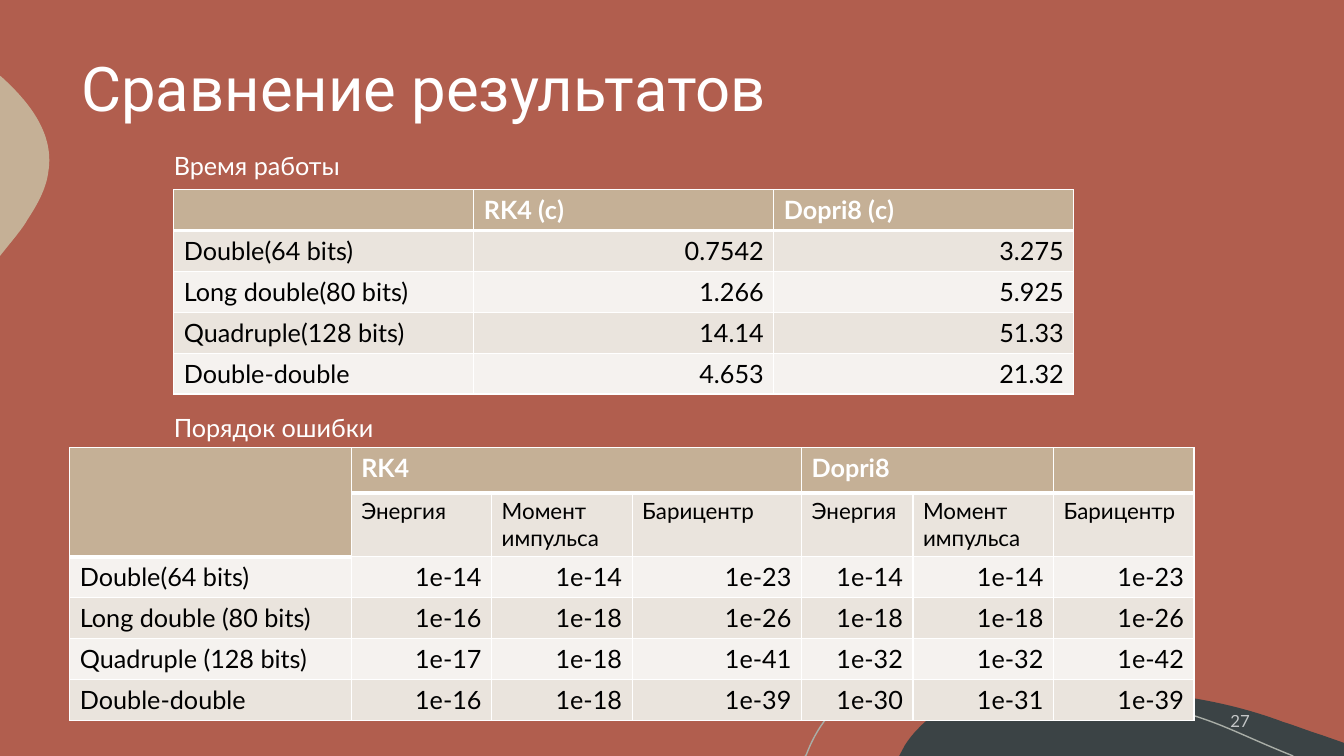
"""Build the slide that compares run times and error orders."""
from lxml import etree
from pptx import Presentation
from pptx.dml.color import RGBColor
from pptx.enum.text import MSO_ANCHOR, PP_ALIGN
from pptx.oxml.ns import qn
from pptx.util import Cm, Pt

LEFT, RIGHT = PP_ALIGN.LEFT, PP_ALIGN.RIGHT
TOP, MIDDLE = MSO_ANCHOR.TOP, MSO_ANCHOR.MIDDLE
RUST = RGBColor(0xB1, 0x5E, 0x4E)
SLATE = RGBColor(0x3B, 0x43, 0x45)
SAND = RGBColor(0xC5, 0xB0, 0x96)
GREY = RGBColor(0xA9, 0xAE, 0xA7)
DARK = RGBColor(0xEA, 0xE4, 0xDD)
PALE = RGBColor(0xF5, 0xF2, 0xEF)
WHITE = RGBColor(0xFF, 0xFF, 0xFF)
BLACK = RGBColor(0, 0, 0)


def write(frame, text, size, color=WHITE, font="Lato", align=LEFT, bold=False):
    para = frame.paragraphs[0]
    para.alignment = align
    run = para.add_run()
    run.text = text
    run.font.size = Pt(size)
    run.font.name = font
    run.font.bold = bold
    run.font.color.rgb = color
    return run


def edge(cell, sides, width):
    props = cell._tc.get_or_add_tcPr()
    for side in sides:
        line = etree.SubElement(props, qn("a:ln" + side), w=str(Pt(width)))
        fill = etree.SubElement(line, qn("a:solidFill"))
        etree.SubElement(fill, qn("a:srgbClr"), val=str(WHITE))


deck = Presentation()
deck.slide_width, deck.slide_height = Cm(33.87), Cm(19.05)
slide = deck.slides.add_slide(deck.slide_layouts[6])
slide.background.fill.solid()
slide.background.fill.fore_color.rgb = RUST
shapes = slide.shapes

hill = [
    (26.77, 17.35),
    (28.65, 17.35, 30.58, 17.53, 32.33, 18.19),
    (32.66, 18.29, 32.97, 18.42, 33.3, 18.52),
    (33.87, 18.72), (33.87, 19.05), (22.66, 19.05), (22.81, 18.77),
    (22.91, 18.62, 23.01, 18.49, 23.14, 18.36),
    (23.85, 17.6, 24.94, 17.37, 25.98, 17.35),
    (26.24, 17.35, 26.51, 17.35, 26.77, 17.35),
]
bulge = [
    (0, 1.91), (0.03, 1.93),
    (0.76, 2.59, 1.37, 3.38, 1.22, 4.32),
    (1.17, 4.75, 0.94, 5.16, 0.69, 5.54),
    (0.61, 5.69, 0.43, 5.92, 0.2, 6.2),
    (0, 6.45),
]
arc = [
    (20.29, 19.05), (20.32, 19.02),
    (20.47, 18.62, 20.68, 18.26, 20.93, 17.98),
    (21.59, 17.3, 22.58, 17.09, 23.52, 17.07),
    (24.26, 17.07),
    (25.93, 17.07, 27.94, 17.48, 29.34, 17.83),
    (30.71, 18.16, 31.14, 18.47, 32.59, 19.05),
]
UNIT = 1000
for outline, color, closed in [(hill, SLATE, True), (bulge, SAND, True), (arc, GREY, False)]:
    parts = [[round(n * UNIT) for n in part] for part in outline]
    ends = [part[-2:] for part in parts]
    left, top = min(x for x, y in ends), min(y for x, y in ends)
    pen = shapes.build_freeform(*ends[0], scale=Cm(1) / UNIT)
    pen.add_line_segments(ends[1:], close=closed)
    form = pen.convert_to_shape()
    legs = list(form._element.iter(qn("a:lnTo")))
    for leg, part in zip(legs, parts[1:]):
        if len(part) == 6:
            curve = etree.Element(qn("a:cubicBezTo"))
            for x, y in zip(part[::2], part[1::2]):
                etree.SubElement(curve, qn("a:pt"), x=str(x - left), y=str(y - top))
            leg.getparent().replace(leg, curve)
    form.shadow.inherit = False
    if closed:
        form.fill.solid()
        form.fill.fore_color.rgb = color
        form.line.fill.background()
    else:
        form.fill.background()
        form.line.color.rgb = color
        form.line.width = Pt(1)

runs = []
for text, box, size, font, align, anchor in [
    ("Сравнение результатов", (1.8, 0.18, 29.64, 4.24), 44, "Roboto", LEFT, MIDDLE),
    ("27", (27.51, 17.65, 4.24, 1.02), 12, "Lato", RIGHT, MIDDLE),
    ("Время работы", (4.13, 3.66, 7.62, 1.02), 18, "Lato", LEFT, TOP),
    ("Порядок ошибки", (4.13, 10.26, 7.62, 1.02), 18, "Lato", LEFT, TOP),
]:
    frame = shapes.add_textbox(*map(Cm, box)).text_frame
    frame.word_wrap = True
    frame.vertical_anchor = anchor
    runs.append(write(frame, text, size, font=font, align=align))
    if size == 44:
        frame.paragraphs[0].line_spacing = 0.9
tint = runs[1]._r.find(".//" + qn("a:srgbClr"))
etree.SubElement(tint, qn("a:alpha"), val="70000")

times = [
    ["", "RK4 (с)", "Dopri8 (с)"],
    ["Double(64 bits)", "0.7542", "3.275"],
    ["Long double(80 bits)", "1.266", "5.925"],
    ["Quadruple(128 bits)", "14.14", "51.33"],
    ["Double-double", "4.653", "21.32"],
]
errors = [
    ["", "RK4", "", "", "Dopri8", "", ""],
    [""] + ["Энергия", "Момент импульса", "Барицентр"] * 2,
    ["Double(64 bits)"] + ["1e-14", "1e-14", "1e-23"] * 2,
    ["Long double (80 bits)", "1e-16", "1e-18", "1e-26", "1e-18", "1e-18", "1e-26"],
    ["Quadruple (128 bits)", "1e-17", "1e-18", "1e-41", "1e-32", "1e-32", "1e-42"],
    ["Double-double", "1e-16", "1e-18", "1e-39", "1e-30", "1e-31", "1e-39"],
]
ROW = 1.03
for data, x, y, widths, heights, spans, heads in [
    (times, 4.38, 4.78, [7.56] * 3, [ROW] * 5, [], 1),
    (errors, 1.76, 11.28, [7.09, 3.54, 3.54, 4.27, 2.81, 3.54, 3.54],
     [1.14, 1.6] + [ROW] * 4, [(0, 0, 1, 0), (0, 1, 0, 3), (0, 4, 0, 5)], 2),
]:
    table = shapes.add_table(
        len(data), len(widths), Cm(x), Cm(y), Cm(sum(widths)), Cm(sum(heights))
    ).table
    for col, width in zip(table.columns, widths):
        col.width = Cm(width)
    for row, height in zip(table.rows, heights):
        row.height = Cm(height)
    for r, line in enumerate(data):
        for c, text in enumerate(line):
            cell = table.cell(r, c)
            head = r == 0 or (r < heads and c == 0)
            edge(cell, "LRT" if r == 0 else "LR", 1)
            edge(cell, "B", 3 if head else 1)
            cell.fill.solid()
            cell.fill.fore_color.rgb = SAND if head else DARK if r % 2 else PALE
            if text:
                write(
                    cell.text_frame, text,
                    16 if 0 < r < heads else 18,
                    WHITE if head else BLACK,
                    align=RIGHT if r >= heads and c else LEFT,
                    bold=head,
                )
    for r, c, down, over in spans:
        table.cell(r, c).merge(table.cell(down, over))

deck.save("out.pptx")
